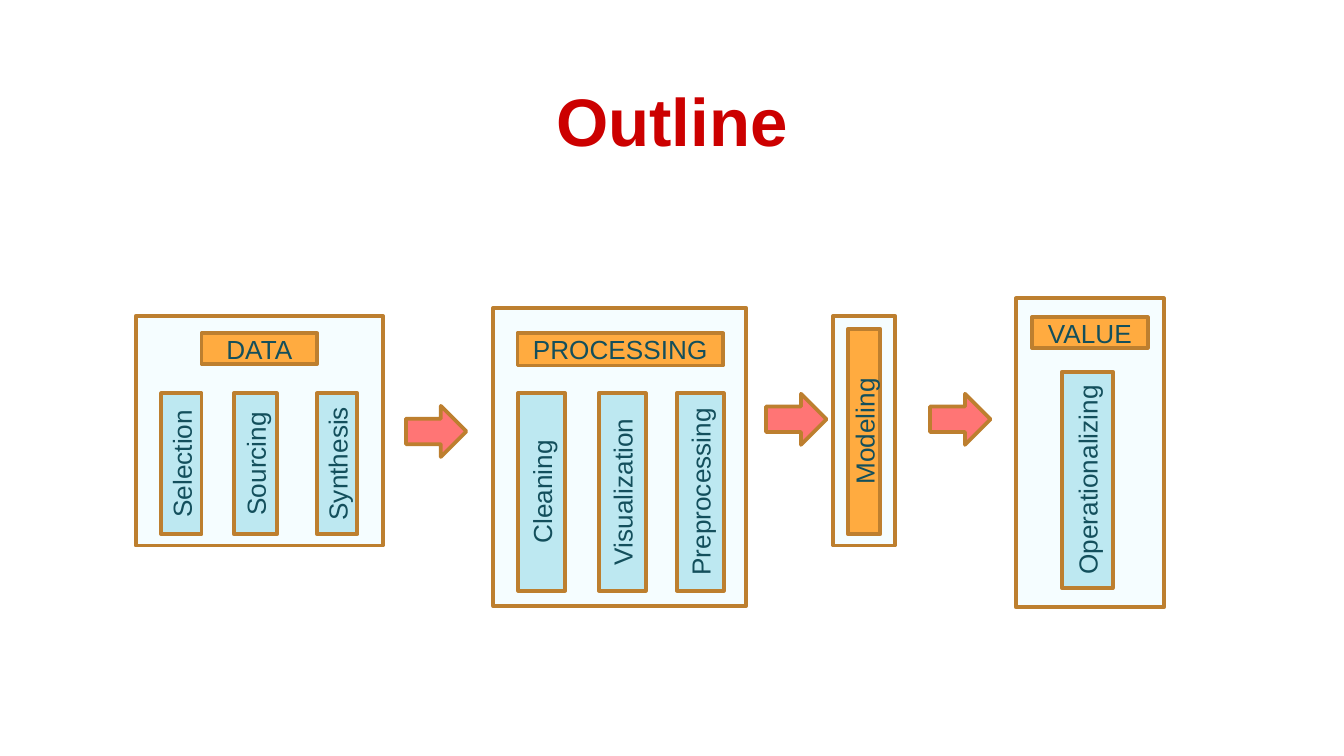
from pptx import Presentation
from pptx.dml.color import RGBColor
from pptx.enum import shapes, text
from pptx.util import Inches, Pt

FONT = "Arial"
RED, TEAL, BROWN = "CC0000", "134F5C", "BD7F2F"
PALE, ORANGE, BLUE, PINK = "F5FDFF", "FFAB40", "BDE8F1", "FF7575"

TITLE = "Outline"
STAGES = [
    {"frame": (1.01, 2.35, 1.84, 1.71),
     "heading": ("DATA", 1.5, 2.48, 0.86, 0.23),
     "step_middle": 3.45, "step_length": 1.05,
     "steps": [("Selection", 1.35, 0.3), ("Sourcing", 1.9, 0.32), ("Synthesis", 2.51, 0.3)]},
    {"frame": (3.67, 2.29, 1.88, 2.22),
     "heading": ("PROCESSING", 3.85, 2.48, 1.53, 0.24),
     "step_middle": 3.66, "step_length": 1.47,
     "steps": [("Cleaning", 4.03, 0.35), ("Visualization", 4.63, 0.35),
               ("Preprocessing", 5.21, 0.35)]},
    {"frame": (6.2, 2.35, 0.46, 1.71),
     "step_middle": 3.21, "step_length": 1.53, "step_fill": ORANGE,
     "steps": [("Modeling", 6.43, 0.24)]},
    {"frame": (7.56, 2.22, 1.1, 2.3),
     "heading": ("VALUE", 7.68, 2.36, 0.86, 0.23),
     "step_middle": 3.57, "step_length": 1.61,
     "steps": [("Operationalizing", 8.09, 0.38)]},
]
ARROWS = [(3.02, 3.02), (5.7, 2.93), (6.92, 2.93)]
ARROW_SIZE = (0.45, 0.38)


def color(value):
    return RGBColor.from_string(value)


def write(frame, words, size, ink, bold=False):
    frame.word_wrap = True
    paragraph = frame.paragraphs[0]
    paragraph.alignment = text.PP_ALIGN.CENTER
    run = paragraph.add_run()
    run.text = words
    run.font.name = FONT
    run.font.size = Pt(size)
    run.font.bold = bold
    run.font.color.rgb = color(ink)


def add_block(slide, kind, box, fill, words=None, rotation=0):
    block = slide.shapes.add_shape(kind, *map(Inches, box))
    block.rotation = rotation
    block.shadow.inherit = False
    block.fill.solid()
    block.fill.fore_color.rgb = color(fill)
    block.line.color.rgb = color(BROWN)
    block.line.width = Pt(2)
    if words:
        block.text_frame.vertical_anchor = text.MSO_ANCHOR.MIDDLE
        write(block.text_frame, words, 14, TEAL)


def add_stage(slide, stage):
    rectangle = shapes.MSO_SHAPE.RECTANGLE
    add_block(slide, rectangle, stage["frame"], PALE)
    if "heading" in stage:
        words, *box = stage["heading"]
        add_block(slide, rectangle, box, ORANGE, words)
    length, middle = stage["step_length"], stage["step_middle"]
    for words, center, thickness in stage["steps"]:
        box = (center - length / 2, middle - thickness / 2, length, thickness)
        add_block(slide, rectangle, box, stage.get("step_fill", BLUE), words, 270)


def main():
    deck = Presentation()
    deck.slide_width = Inches(10)
    deck.slide_height = deck.slide_width * 9 // 16
    slide = deck.slides.add_slide(deck.slide_layouts[6])

    heading = slide.shapes.add_textbox(*map(Inches, (0.34, 0.49, 9.32, 0.63))).text_frame
    heading.margin_top = heading.margin_bottom = Inches(0.1)
    write(heading, TITLE, 36, RED, True)

    for stage in STAGES:
        add_stage(slide, stage)
    for corner in ARROWS:
        add_block(slide, shapes.MSO_SHAPE.RIGHT_ARROW, corner + ARROW_SIZE, PINK)
    deck.save("out.pptx")


if __name__ == "__main__":
    main()
